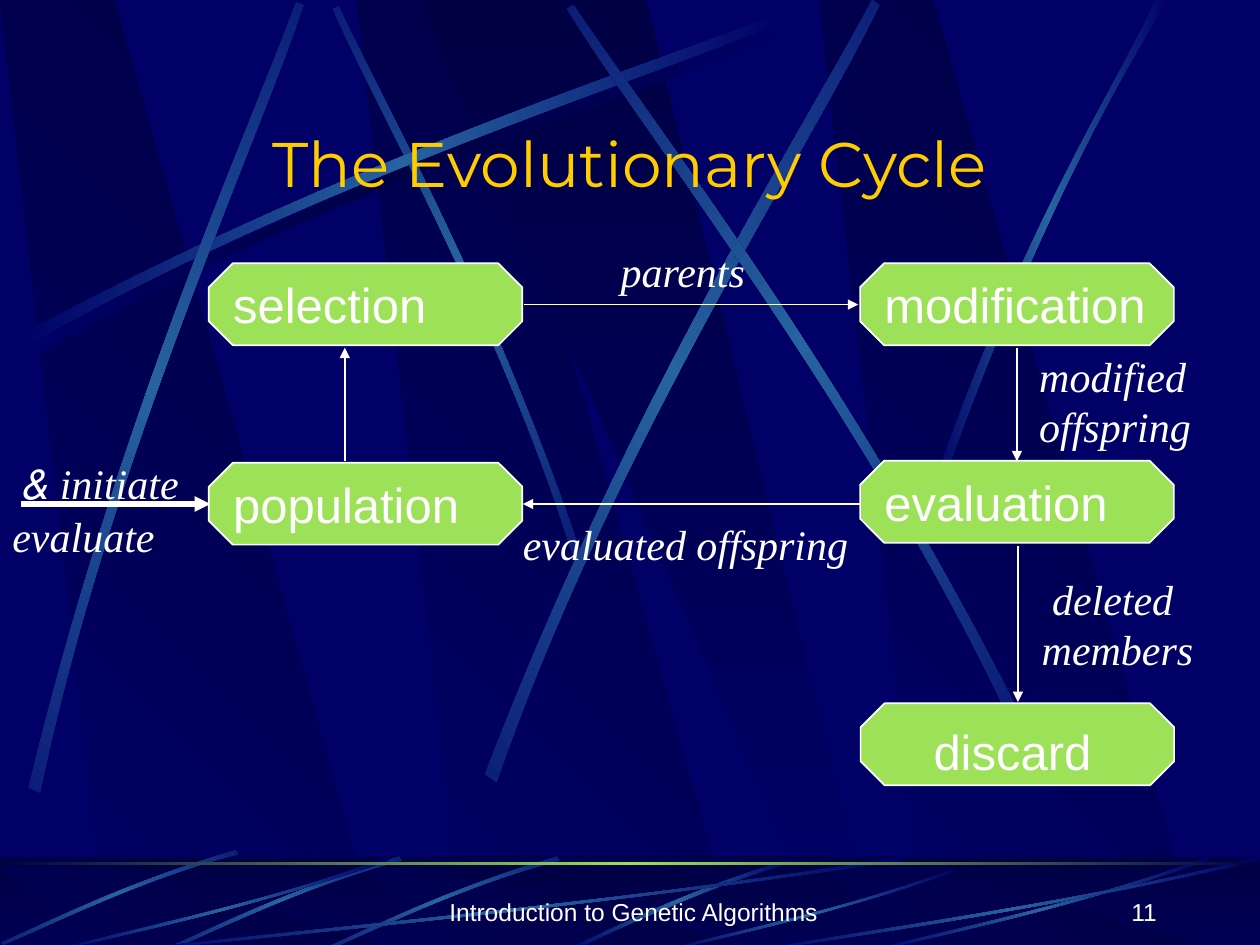
"""Build the evolutionary cycle slide."""
from dataclasses import dataclass
from math import cos, radians, sin
from typing import NamedTuple

from lxml.etree import SubElement
from pptx import Presentation
from pptx.dml.color import RGBColor
from pptx.enum.shapes import MSO_CONNECTOR as Conn, MSO_SHAPE as Geo
from pptx.enum.text import MSO_ANCHOR as Anchor, PP_ALIGN as Align
from pptx.oxml.ns import qn
from pptx.util import Cm, Pt

COLORS = {"navy": "000066", "dark": "000044", "steel": "2663A0",
          "green": "9CE157", "gold": "FFCC00", "white": "FFFFFF"}
WIDTH, HEIGHT = 25.4, 19.05
BAND_TOP = 17.27
SHADE = ("dark", "navy")
GLOW = ("navy", "steel", "navy")
Points = list[tuple[float, float]]


class Streak(NamedTuple):
    points: Points
    angle: float = 0
    colors: tuple[str, ...] = GLOW

    def moved(self, dx: float, dy: float, colors: tuple[str, ...] = GLOW) -> "Streak":
        return Streak([(x + dx, y + dy) for x, y in self.points], self.angle, colors)


class Step(NamedTuple):
    text: str
    left: float
    top: float


class Arrow(NamedTuple):
    x1: float
    y1: float
    x2: float
    y2: float
    weight: float = 1


@dataclass
class Label:
    lines: tuple[str, ...]
    left: float
    top: float
    width: float
    height: float
    size: float = 24
    font: str = "Times New Roman"
    color: str = "white"
    italic: bool = True
    align: Align = Align.LEFT
    anchor: Anchor = Anchor.TOP
    wrap: bool = False
    rtl: bool = False
    indent: float = 0


LONG = Streak([(.36, 6.78), (7.06, 3.18), (13.16, 1.3), (15.75, .25),
               (15.82, .41), (13.26, 1.55), (6.3, 3.63), (.43, 7.04)])
STREAKS = [
    LONG.moved(.15, .2, ("navy", "dark", "navy")),
    Streak([(11.68, 11.07), (9.93, 5.94), (7.67, 1.96), (6.83, .13),
            (6.71, .18), (7.49, 2.01), (10.11, 6.55), (11.53, 11.15)], 45),
    LONG,
    Streak([(.58, 15.88), (2.36, 8.48), (5, 2.67), (5.97, .05),
            (6.12, .1), (5.26, 2.74), (2.18, 9.35), (.81, 15.98)], 311.7),
    Streak([(9.78, 15.6), (12.65, 8.13), (16.21, 2.59), (17.58, 0),
            (17.73, .1), (16.48, 2.74), (12.34, 9.02), (10.01, 15.77)], 321.6),
    Streak([(20.47, 14.22), (17.02, 7.44), (13.11, 2.41), (11.56, .1),
            (11.43, .18), (12.88, 2.57), (17.4, 8.26), (20.29, 14.38)], 34.8),
    Streak([(18.75, 9.98), (20.68, 4.39), (22.56, 1.68), (23.29, 0),
            (23.55, 0), (21.23, 3.68), (19.53, 8.18), (18.9, 10.08)]),
]
BLADE = Streak([(11.23, 17.27), (9.02, 17.91), (7.29, 18.8), (6.5, 19.13),
                (6.53, 19.18), (7.32, 18.87), (9.27, 17.86), (11.28, 17.35)], 314.9)
SWEEP = [(1, .04), (.57, .57), (.17, .85), (.01, 1), (0, .99), (.17, .81), (.62, .51), (1, 0)]
SWEEPS = [(2.54, BAND_TOP, 15.67), (1.07, BAND_TOP, 6.78), (13.39, 17.5, 5.87),
          (17.58, BAND_TOP, 6.78), (15.24, BAND_TOP, 10.16)]
BAND_STREAKS = [
    Streak([(15.93, 17.32), (13.64, 18.01), (12.12, 18.85), (11.38, 19.15),
            (11.51, 19.18), (12.45, 18.72), (14.5, 17.78), (15.95, 17.4)]),
    BLADE, BLADE.moved(-3.18, 0), BLADE.moved(-6.48, -.13),
    *(Streak([(x + u * w, y + v * (19.18 - y)) for u, v in SWEEP]) for x, y, w in SWEEPS),
]

STEPS = [Step("selection", 4.21, 5.31), Step("population", 4.21, 9.33),
         Step("evaluation", 17.34, 9.29), Step("modification", 17.34, 5.31),
         Step("", 17.35, 14.18)]
ARROWS = [Arrow(10.57, 6.14, 17.3, 6.14), Arrow(6.95, 9.3, 6.95, 7.01),
          Arrow(20.52, 11, 20.52, 14.15), Arrow(17.35, 10.16, 10.54, 10.16),
          Arrow(20.5, 7.01, 20.5, 9.3), Arrow(.43, 10.16, 4.24, 10.16, 3)]
FOOTER = {"size": 14, "font": "Arial", "italic": False, "anchor": Anchor.BOTTOM, "wrap": True}
LABELS = [
    Label(("The Evolutionary Cycle",), 1.9, 2.39, 21.59, 1.78, 36, "Montserrat", "gold",
          False, Align.CENTER, Anchor.MIDDLE, True),
    Label(("discard",), 18.57, 14.43, 3.68, 1.42, 28, "Arial", italic=False),
    Label(("deleted", "members"), 20.75, 11.43, 3.56, 2.29, indent=.21),
    Label(("parents",), 12.26, 4.83, 3.05, 1.27),
    Label(("modified", "offspring"), 20.7, 6.94, 3.56, 2.29),
    Label(("evaluated offspring",), 10.29, 10.33, 7.06, 1.27),
    Label(("initiate &",), 0, 9.09, 4.01, 1.27, align=Align.CENTER, wrap=True, rtl=True),
    Label(("evaluate",), 0, 10.16, 4.24, 1.27, wrap=True),
    Label(("Introduction to Genetic Algorithms",), 8.75, 17.53, 8.05, 1.27,
          align=Align.CENTER, **FOOTER),
    Label(("11",), 18.29, 17.53, 5.28, 1.27, align=Align.RIGHT, **FOOTER),
]


def rgb(name: str) -> RGBColor:
    return RGBColor.from_string(COLORS[name])


def shade(sp, colors: tuple[str, ...], angle: float) -> None:
    sp.shadow.inherit = False
    sp.line.fill.background()
    sp.fill.gradient()
    sp.fill.gradient_angle = angle
    stops = sp._element.spPr.find(qn("a:gradFill")).find(qn("a:gsLst"))
    stops.clear()
    for i, name in enumerate(colors):
        gs = SubElement(stops, qn("a:gs"), pos=str(100000 * i // (len(colors) - 1)))
        SubElement(gs, qn("a:srgbClr"), val=COLORS[name])


def add_outline(s, points: Points, colors: tuple[str, ...], angle: float):
    first, *rest = [(Cm(x), Cm(y)) for x, y in points]
    builder = s.shapes.build_freeform(*first)
    builder.add_line_segments(rest, close=True)
    sp = builder.convert_to_shape()
    shade(sp, colors, angle)
    return sp


def middle(points: Points) -> tuple[float, float]:
    xs, ys = zip(*points)
    return (min(xs) + max(xs)) / 2, (min(ys) + max(ys)) / 2


def turn(point: tuple[float, float], pivot: tuple[float, float], angle: float) -> tuple[float, float]:
    dx, dy = point[0] - pivot[0], point[1] - pivot[1]
    c, d = cos(radians(angle)), sin(radians(angle))
    return pivot[0] + dx * c - dy * d, pivot[1] + dx * d + dy * c


def add_streak(s, streak: Streak) -> None:
    pivot = middle(streak.points)
    flat = [turn(pt, pivot, -streak.angle) for pt in streak.points]
    sp = add_outline(s, flat, streak.colors, 180)
    lines = list(sp._element.iter(qn("a:lnTo")))
    for group in (lines[:3], lines[4:7]):
        bend = group[0].makeelement(qn("a:cubicBezTo"), {})
        group[0].addprevious(bend)
        for line in group:
            bend.append(line[0])
            line.getparent().remove(line)
    center = middle(flat)
    x, y = turn(center, pivot, streak.angle)
    sp.left += Cm(x - center[0])
    sp.top += Cm(y - center[1])
    sp.rotation = streak.angle


def add_panels(s, top: float) -> None:
    for x in (0, 7.19, 16.51):
        add_outline(s, [(x + 2.18, HEIGHT), (x + 7.67, HEIGHT), (x + 2.31, top), (x, top)], SHADE, 225)
    add_outline(s, [(8.46, top), (16.71, HEIGHT), (17.63, HEIGHT), (13.03, top)], SHADE, 270)


def add_bar(s, top: float, height: float, colors: tuple[str, ...], angle: float):
    sp = s.shapes.add_shape(Geo.RECTANGLE, 0, Cm(top), Cm(WIDTH), Cm(height))
    shade(sp, colors, angle)
    return sp


def add_run(p, text: str, size: float, font: str, color: str, italic: bool = False) -> None:
    r = p.add_run()
    r.text = text
    r.font.size, r.font.name, r.font.italic = Pt(size), font, italic
    r.font.color.rgb = rgb(color)


def add_step(s, step: Step) -> None:
    sp = s.shapes.add_shape(Geo.OCTAGON, Cm(step.left), Cm(step.top), Cm(6.32), Cm(1.65))
    sp.adjustments[0] = .293
    sp.shadow.inherit = False
    sp.fill.solid()
    sp.fill.fore_color.rgb = rgb("green")
    sp.line.color.rgb, sp.line.width = rgb("white"), Pt(1)
    if step.text:
        tf = sp.text_frame
        tf.word_wrap, tf.vertical_anchor = False, Anchor.MIDDLE
        p = tf.paragraphs[0]
        p.alignment = Align.LEFT
        add_run(p, step.text, 28, "Arial", "white")


def add_arrow(s, a: Arrow) -> None:
    sp = s.shapes.add_connector(Conn.STRAIGHT, Cm(a.x1), Cm(a.y1), Cm(a.x2), Cm(a.y2))
    sp.line.color.rgb, sp.line.width = rgb("white"), Pt(a.weight)
    SubElement(sp.line._get_or_add_ln(), qn("a:tailEnd"), type="triangle")
    SubElement(sp._element.spPr, qn("a:effectLst"))


def add_label(s, label: Label) -> None:
    sp = s.shapes.add_textbox(Cm(label.left), Cm(label.top), Cm(label.width), Cm(label.height))
    tf = sp.text_frame
    tf.word_wrap, tf.vertical_anchor = label.wrap, label.anchor
    for i, line in enumerate(label.lines):
        p = tf.add_paragraph() if i else tf.paragraphs[0]
        p.alignment = label.align
        if label.rtl:
            p._p.get_or_add_pPr().set("rtl", "1")
        if label.indent and i == 0:
            p._p.get_or_add_pPr().set("indent", str(Cm(label.indent)))
        add_run(p, line, label.size, label.font, label.color, label.italic)


def main() -> None:
    prs = Presentation()
    prs.slide_width, prs.slide_height = Cm(WIDTH), Cm(HEIGHT)
    s = prs.slides.add_slide(prs.slide_layouts[6])
    s.background.fill.solid()
    s.background.fill.fore_color.rgb = rgb("navy")
    add_panels(s, 0)
    for streak in STREAKS:
        add_streak(s, streak)
    add_bar(s, BAND_TOP, HEIGHT - BAND_TOP, SHADE, 270)
    add_panels(s, 17.48)
    veil = add_bar(s, BAND_TOP, HEIGHT - BAND_TOP, SHADE, 0)
    veil.fill.solid()
    veil.fill.fore_color.rgb = rgb("dark")
    clr = veil._element.spPr.find(qn("a:solidFill")).find(qn("a:srgbClr"))
    SubElement(clr, qn("a:alpha"), val="50000")
    for streak in BAND_STREAKS:
        add_streak(s, streak)
    add_bar(s, 17.37, .06, ("dark", "green", "dark"), 0)
    for draw, items in ((add_step, STEPS), (add_arrow, ARROWS), (add_label, LABELS)):
        for item in items:
            draw(s, item)
    prs.save("out.pptx")


if __name__ == "__main__":
    main()
